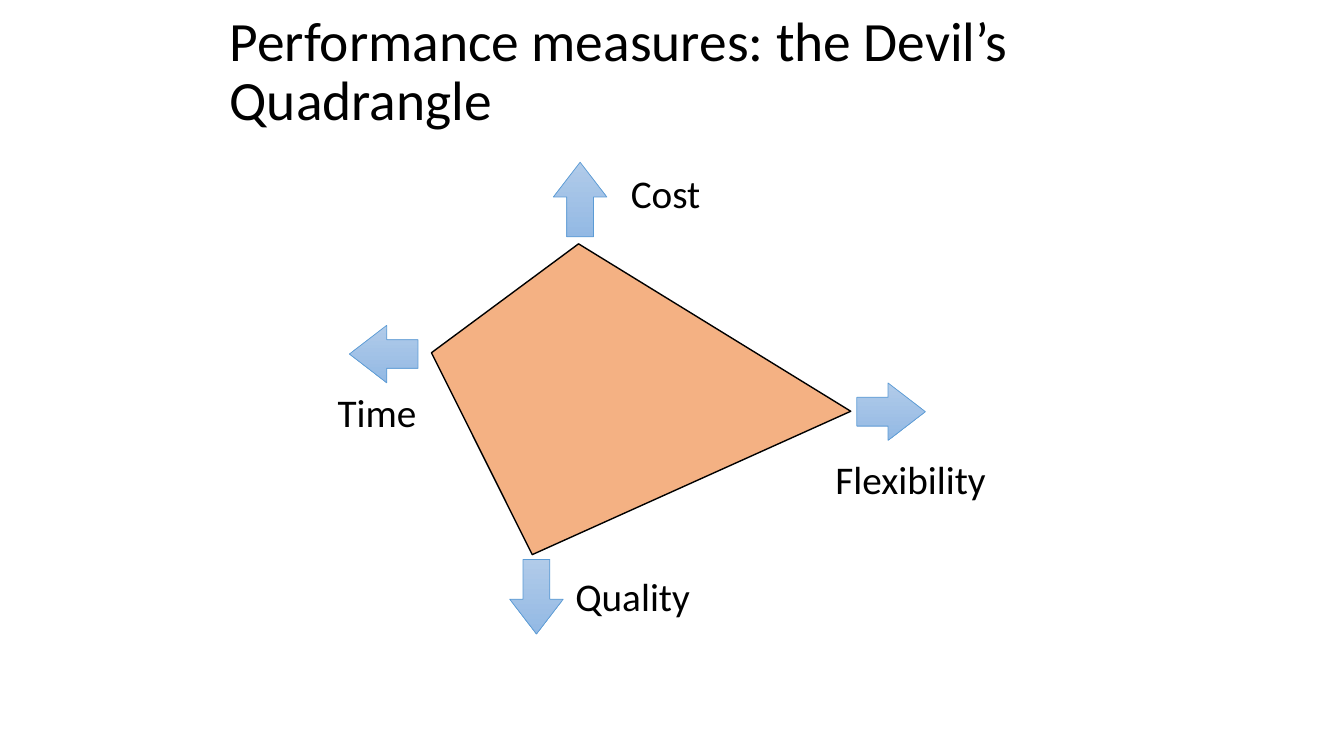
"""Build the Devil's Quadrangle slide of four performance measures."""
from pptx import Presentation
from pptx import util as u
from pptx.dml.color import RGBColor
from pptx.enum import shapes, text

TITLE = "Performance measures: the Devil’s Quadrangle"
TITLE_BOX = (157, 20.9, 635, 62.6)
QUADRANGLE = [(413.3, 174.2), (308.2, 252), (380.2, 396.2), (607.7, 293.8)]

ARROW = shapes.MSO_SHAPE
UPRIGHT, SIDEWAYS = (38.2, 53.3), (49, 41)
MEASURES = [
    ("Cost", (443.5, 117.4), 64.8, ARROW.UP_ARROW, (395.3, 115.9), UPRIGHT),
    ("Quality", (403.9, 405.4), 97.2, ARROW.DOWN_ARROW, (364.1, 399.6), UPRIGHT),
    ("Time", (234, 273.6), 71.3, ARROW.LEFT_ARROW, (249.6, 232.4), SIDEWAYS),
    ("Flexibility", (589.7, 321.8), 123.1, ARROW.RIGHT_ARROW, (612, 273.6), SIDEWAYS),
]
LABEL_HEIGHT = 41

THEME = {
    "font": "Calibri", "ink": "000000", "title": 39.6, "label": 28,
    "quadrangle": "F4B183", "arrow": ("B1CBE9", "93B9E4"), "arrow_edge": "5B9BD5",
}


def rgb(key):
    return RGBColor.from_string(THEME[key])


def add_text(slide, wording, box, size, wrap):
    frame = slide.shapes.add_textbox(*map(u.Pt, box)).text_frame
    frame.word_wrap = wrap
    paragraph = frame.paragraphs[0]
    paragraph.text = wording
    paragraph.font.name = THEME["font"]
    paragraph.font.size = u.Pt(THEME[size])
    paragraph.font.color.rgb = rgb("ink")
    return frame


def outline(shape, color, width):
    shape.shadow.inherit = False
    shape.line.color.rgb = rgb(color)
    shape.line.width = u.Pt(width)


def add_quadrangle(slide):
    start, *corners = [(u.Pt(x), u.Pt(y)) for x, y in QUADRANGLE]
    builder = slide.shapes.build_freeform(*start)
    builder.add_line_segments(corners, close=True)
    quadrangle = builder.convert_to_shape()
    quadrangle.fill.solid()
    quadrangle.fill.fore_color.rgb = rgb("quadrangle")
    outline(quadrangle, "ink", 1)


def add_arrow(slide, kind, place, size):
    arrow = slide.shapes.add_shape(kind, *map(u.Pt, place + size))
    arrow.adjustments[0] = 0.5
    arrow.adjustments[1] = 0.65
    arrow.fill.gradient()
    arrow.fill.gradient_angle = 270
    for stop, color in zip(arrow.fill.gradient_stops, THEME["arrow"]):
        stop.color.rgb = RGBColor.from_string(color)
    outline(arrow, "arrow_edge", 0.5)


def main():
    deck = Presentation()
    deck.slide_width, deck.slide_height = u.Pt(960), u.Pt(540)
    slide = deck.slides.add_slide(deck.slide_layouts[6])

    add_quadrangle(slide)
    for measure, label_at, label_width, kind, arrow_at, arrow_size in MEASURES:
        add_arrow(slide, kind, arrow_at, arrow_size)
        label_box = (*label_at, label_width, LABEL_HEIGHT)
        label = add_text(slide, measure, label_box, "label", False)
        label.auto_size = text.MSO_AUTO_SIZE.SHAPE_TO_FIT_TEXT

    title = add_text(slide, TITLE, TITLE_BOX, "title", True)
    title.vertical_anchor = text.MSO_ANCHOR.MIDDLE
    title.paragraphs[0].line_spacing = 0.9
    deck.save("out.pptx")


if __name__ == "__main__":
    main()
